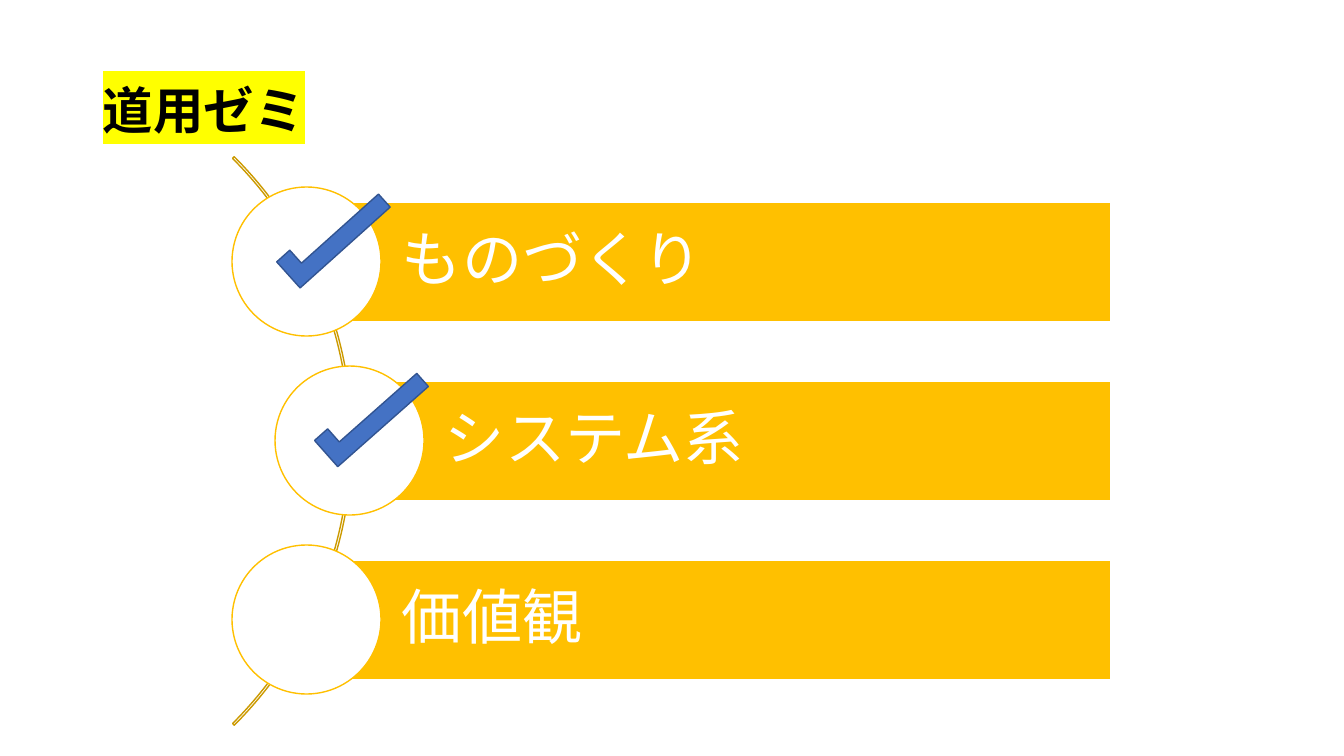
from lxml import etree
from pptx import Presentation
from pptx.dml.color import RGBColor
from pptx.enum.shapes import MSO_SHAPE
from pptx.enum.text import MSO_ANCHOR, PP_ALIGN
from pptx.oxml.ns import qn
from pptx.util import Pt

RECT = MSO_SHAPE.RECTANGLE
OVAL = MSO_SHAPE.OVAL
ARC = MSO_SHAPE.BLOCK_ARC
CORNER = MSO_SHAPE.CORNER
MIDDLE = MSO_ANCHOR.MIDDLE
LEFT = PP_ALIGN.LEFT

BLACK = RGBColor(0x00, 0x00, 0x00)
WHITE = RGBColor(0xFF, 0xFF, 0xFF)
GOLD = RGBColor(0xFF, 0xC0, 0x00)
BROWN = RGBColor(0xCC, 0x9A, 0x00)
BLUE = RGBColor(0x44, 0x72, 0xC4)
NAVY = RGBColor(0x32, 0x54, 0x91)
YELLOW = RGBColor(0xFF, 0xFF, 0x00)

LATIN = "Lato"
ASIAN = "Noto Sans CJK JP"
SCALE = 914400 / 100.8


def emu(px):
    return round(px * SCALE)


def write(frame, text, size, color, font=ASIAN, bold=False, mark=None, inset=(10, 5, 10, 5)):
    frame.word_wrap = True
    frame.vertical_anchor = MIDDLE
    frame.margin_left, frame.margin_top, frame.margin_right, frame.margin_bottom = map(emu, inset)
    para = frame.paragraphs[0]
    para.alignment = LEFT
    para.line_spacing = 0.9
    run = para.add_run()
    run.text = text
    run.font.size = Pt(size)
    run.font.bold = bold
    run.font.name = font
    run.font.color.rgb = color
    props = run.font._element
    props.find(qn("a:latin")).addnext(etree.Element(qn("a:ea"), typeface=ASIAN))
    if mark:
        light = etree.Element(qn("a:highlight"))
        etree.SubElement(light, qn("a:srgbClr"), val=str(mark))
        props.find(qn("a:solidFill")).addnext(light)


class Deck:
    def __init__(self):
        self.show = Presentation()
        self.show.slide_width = emu(1344)
        self.show.slide_height = emu(756)
        self.slide = self.show.slides.add_slide(self.show.slide_layouts[6])

    def shape(self, kind, box, fill, line, width=1, turn=0):
        item = self.slide.shapes.add_shape(kind, *map(emu, box))
        item.shadow.inherit = False
        if fill is None:
            item.fill.background()
        else:
            item.fill.solid()
            item.fill.fore_color.rgb = fill
        item.line.color.rgb = line
        item.line.width = Pt(width)
        item.rotation = turn
        return item

    def title(self, text, box):
        item = self.slide.shapes.add_textbox(*map(emu, box))
        write(item.text_frame, text, 36, BLACK, font=LATIN, bold=True, mark=YELLOW)

    def arc(self, box):
        item = self.shape(ARC, box, None, BROWN)
        for i, value in enumerate((189, 27, 0.003)):
            item.adjustments[i] = value

    def entry(self, text, left, top):
        bar = self.shape(RECT, (left + 75, top + 15, 1036 - left, 120), GOLD, WHITE, 1.5)
        write(bar.text_frame, text, 43, WHITE, inset=(95, 12, 12, 12))
        self.shape(OVAL, (left, top, 149, 149), WHITE, GOLD)

    def check(self, left, top, turn):
        self.shape(CORNER, (left, top, 121, 35), BLUE, NAVY, turn=turn)


def main():
    deck = Deck()
    deck.title("道用ゼミ", (93, 40, 1159, 146))
    deck.arc((-452, 39, 804, 804))
    entries = (("ものづくり", 232), ("システム系", 275), ("価値観", 232))
    for row, (text, left) in enumerate(entries):
        deck.entry(text, left, 187 + 179 * row)
    deck.check(273, 217, 318.1)
    deck.check(311, 396, 318.5)
    deck.show.save("out.pptx")


if __name__ == "__main__":
    main()
